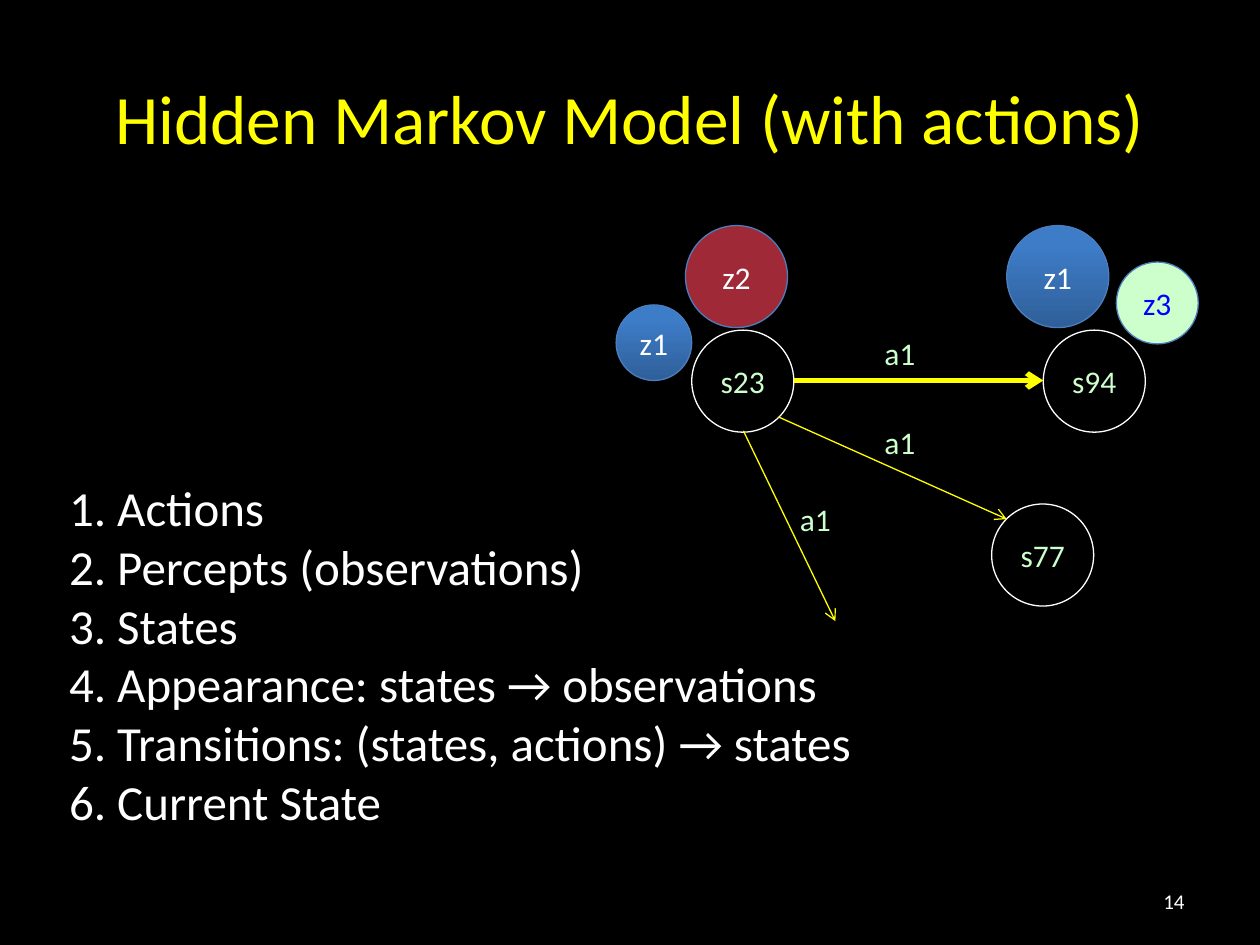
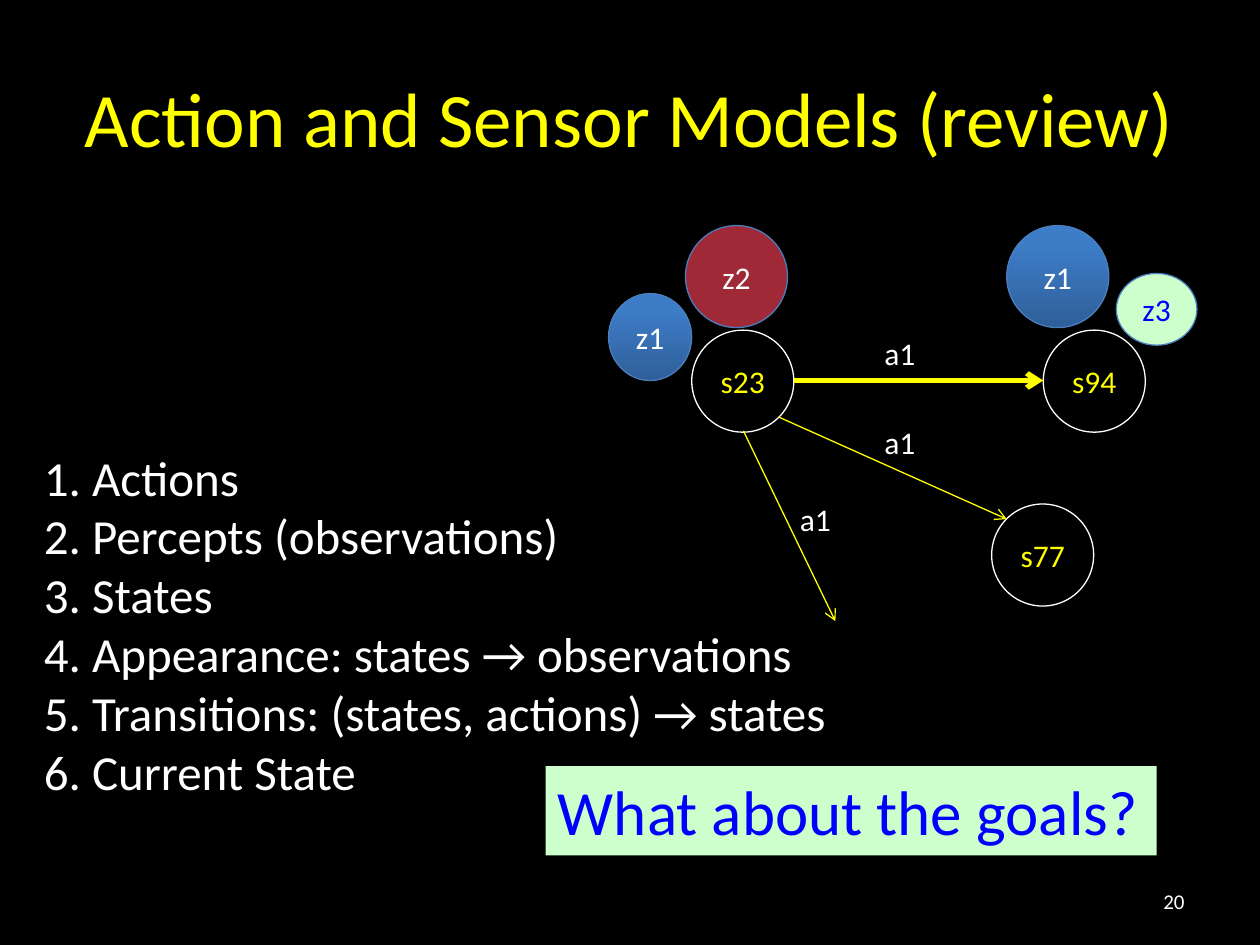
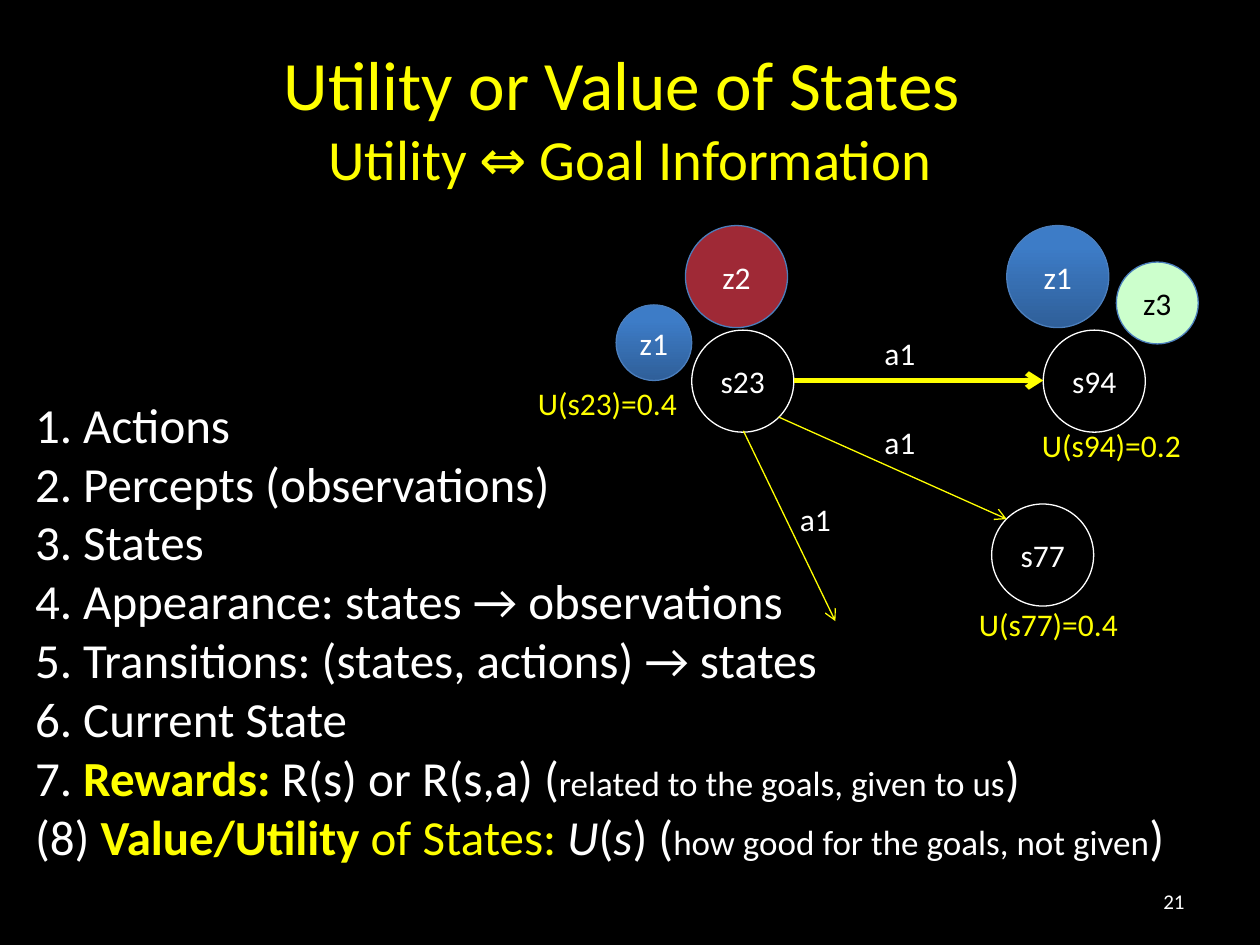
import pptx
import pptx.util
from pptx.dml.color import RGBColor
from pptx.enum.dml import MSO_FILL
from pptx.enum.shapes import MSO_CONNECTOR, MSO_SHAPE
from pptx.enum.text import MSO_ANCHOR, MSO_AUTO_SIZE, PP_ALIGN
from pptx.oxml.ns import qn
from pptx.util import Inches
import lxml.etree as etree

BLACK = RGBColor(0x00, 0x00, 0x00)
WHITE = RGBColor(0xFF, 0xFF, 0xFF)
YELLOW = RGBColor(0xFF, 0xFF, 0x00)
MINT = RGBColor(0xCC, 0xFF, 0xCC)
BLUE = RGBColor(0x00, 0x00, 0xFF)
RED = RGBColor(0x9F, 0x29, 0x36)
EDGE = RGBColor(0x4B, 0x7E, 0xBC)
DEEP = RGBColor(0x2F, 0x5F, 0x99)
SKY = RGBColor(0x3D, 0x7C, 0xC7)

FONT = "Calibri"
SIDE = 0.81  # diameter of a state circle

PARTS = [
    "1. Actions",
    "2. Percepts (observations)",
    "3. States",
    "4. Appearance: states → observations",
    "5. Transitions: (states, actions) → states",
    "6. Current State",
]
KEY = {"color": YELLOW, "bold": True}
NOTE = {"size": 20}
SLANT = {"italic": True}
GOALS = [
    [("7. ", {}), ("Rewards: ", KEY), ("R(s) or R(s,a) (", {}),
     ("related to the goals, given to us", NOTE), (")", {})],
    [("(8) ", {}), ("Value/Utility ", KEY), ("of States: ", {"color": YELLOW}),
     ("U", SLANT), ("(", {}), ("s", SLANT), (") (", {}),
     ("how good for the goals, not given", NOTE), (")", {})],
]


class Deck:
    """Holds the shared style and the slide being drawn."""

    def __init__(self):
        self.show = pptx.Presentation()
        self.show.slide_width = Inches(10)
        self.show.slide_height = Inches(7.5)
        self.slide = None

    def style(self, run, size, color, bold=False, italic=False):
        font = run.font
        font.name = FONT
        font.size = pptx.util.Pt(size)
        font.color.rgb = color
        font.bold = bold
        font.italic = italic

    def words(self, frame, lines, size, color, align=PP_ALIGN.LEFT):
        """Fill a frame; a line is a string or a list of (text, changes) runs."""
        for i, line in enumerate(lines):
            para = frame.add_paragraph() if i else frame.paragraphs[0]
            para.alignment = align
            if isinstance(line, str):
                para.text = line
                for run in para.runs:
                    self.style(run, size, color)
            else:
                for text, change in line:
                    run = para.add_run()
                    run.text = text
                    self.style(run, **{"size": size, "color": color, **change})

    def page(self, number, title, sizes):
        """Start a slide; sizes gives one point size per line of the title."""
        self.slide = self.show.slides.add_slide(self.show.slide_layouts[6])
        fill = self.slide.background.fill
        fill.solid()
        fill.fore_color.rgb = BLACK
        head = self.block((0.5, 0.3, 9, 1.25), [title], sizes[0], YELLOW,
                          PP_ALIGN.CENTER)
        for run, size in zip(head.text_frame.paragraphs[0].runs, sizes):
            run.font.size = pptx.util.Pt(size)
        self.block((7.17, 6.95, 2.33, 0.4), [str(number)], 12, WHITE,
                   PP_ALIGN.RIGHT)

    def block(self, area, lines, size, color, align):
        """Add wrapped text, centred from top to bottom."""
        box = self.slide.shapes.add_textbox(*map(Inches, area))
        frame = box.text_frame
        frame.word_wrap = True
        frame.vertical_anchor = MSO_ANCHOR.MIDDLE
        self.words(frame, lines, size, color, align)
        return box

    def label(self, area, lines, color, size=18, back=None):
        """Add text that does not wrap, with a back colour if given."""
        box = self.slide.shapes.add_textbox(*map(Inches, area))
        frame = box.text_frame
        frame.word_wrap = False
        frame.auto_size = MSO_AUTO_SIZE.SHAPE_TO_FIT_TEXT
        if back is not None:
            box.fill.solid()
            box.fill.fore_color.rgb = back
        self.words(frame, lines, size, color)

    def circle(self, area, text, color, edge=EDGE, fill=None):
        """Add a named circle; fill is a colour, MSO_FILL.GRADIENT or None."""
        disc = self.slide.shapes.add_shape(MSO_SHAPE.OVAL, *map(Inches, area))
        disc.shadow.inherit = False
        disc.line.color.rgb = edge
        disc.line.width = pptx.util.Pt(0.75)
        if fill is None:
            disc.fill.background()
        elif fill == MSO_FILL.GRADIENT:
            disc.fill.gradient()
            disc.fill.gradient_angle = 90
            stops = disc.fill.gradient_stops
            for stop, place, shade in zip(stops, (0, 0.8), (DEEP, SKY)):
                stop.position = place
                stop.color.rgb = shade
        else:
            disc.fill.solid()
            disc.fill.fore_color.rgb = fill
        frame = disc.text_frame
        frame.word_wrap = False
        frame.vertical_anchor = MSO_ANCHOR.MIDDLE
        self.words(frame, [text], 18, color, PP_ALIGN.CENTER)

    def arrow(self, start, end, width=0.75):
        link = self.slide.shapes.add_connector(
            MSO_CONNECTOR.STRAIGHT, *map(Inches, start + end))
        link.line.color.rgb = YELLOW
        link.line.width = pptx.util.Pt(width)
        props = link.element.spPr
        tip = etree.SubElement(props.find(qn("a:ln")), qn("a:tailEnd"))
        tip.set("type", "arrow")
        etree.SubElement(props, qn("a:effectLst"))

    def model(self, state, act, third, left=(4.89, 2.42, 0.6, 0.6),
              right=(8.86, 2.08, 0.65, 0.65)):
        """Draw the state graph; left and right place the small percepts."""
        for x, y, name in ((5.49, 2.62, "s23"), (8.28, 2.62, "s94"),
                           (7.87, 4, "s77")):
            self.circle((x, y, SIDE, SIDE), name, state, edge=WHITE)
        self.circle(left, "z1", WHITE, fill=MSO_FILL.GRADIENT)
        self.circle((7.99, 1.79, SIDE, SIDE), "z1", WHITE,
                    fill=MSO_FILL.GRADIENT)
        self.circle((5.44, 1.79, SIDE, SIDE), "z2", WHITE, fill=RED)
        self.circle(right, "z3", third, fill=MINT)
        self.arrow((6.3, 3.02), (8.28, 3.02), 3)
        self.arrow((6.18, 3.31), (7.99, 4.12))
        self.arrow((5.9, 3.42), (6.63, 4.93))
        for x, y in ((6.92, 2.6), (6.92, 3.31), (6.25, 3.92)):
            self.label((x, y, 0.45, 0.4), ["a1"], act)


def main():
    deck = Deck()

    deck.page(14, "Hidden Markov Model (with actions)", [39.6])
    deck.model(state=MINT, act=MINT, third=BLUE)
    deck.label((0.45, 3.74, 6.57, 2.93), PARTS, WHITE, 28)

    deck.page(20, "Action and Sensor Models (review)", [44])
    deck.model(state=YELLOW, act=WHITE, third=BLUE,
               left=(4.83, 2.33, 0.66, 0.69), right=(8.86, 2.17, 0.64, 0.57))
    deck.label((0.25, 3.5, 6.5, 2.93), PARTS, WHITE, 28)
    deck.label((4.33, 6.08, 4.85, 0.71), ["What about the goals?"], BLUE, 36,
               back=MINT)

    deck.page(21, "Utility or Value of States \vUtility ⇔ Goal Information",
              [39.6, 32.4])
    deck.model(state=WHITE, act=WHITE, third=BLACK)
    deck.label((0.18, 3.08, 9.3, 3.87), PARTS + GOALS, WHITE, 28)
    for x, y, worth in ((7.67, 4.75, "U(s77)=0.4"), (8.17, 3.33, "U(s94)=0.2"),
                        (4.17, 3, "U(s23)=0.4")):
        deck.label((x, y, 1.32, 0.4), [worth], YELLOW)

    deck.show.save("out.pptx")


if __name__ == "__main__":
    main()
